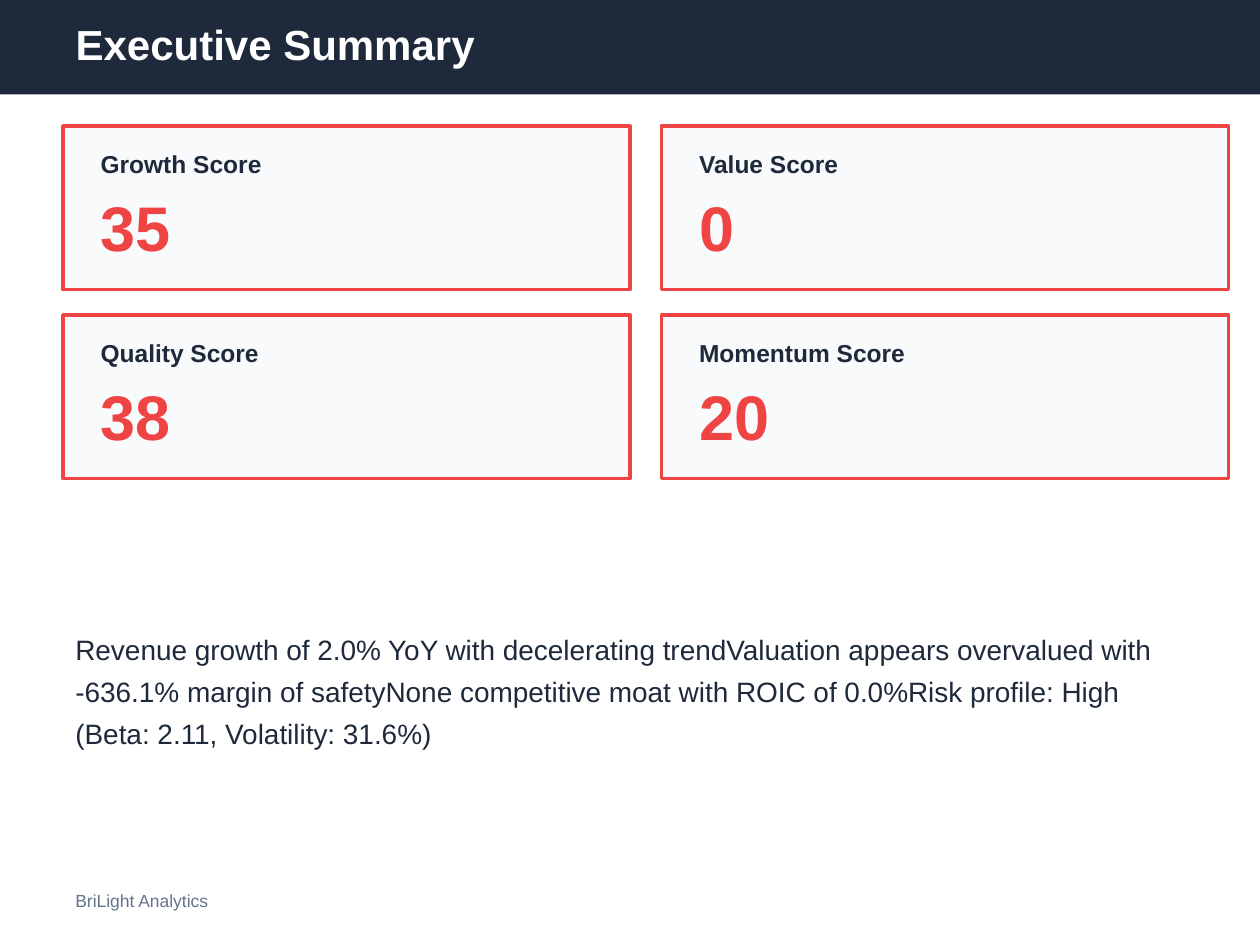
from pptx import Presentation
from pptx.dml.color import RGBColor
from pptx.enum.shapes import MSO_SHAPE
from pptx.enum.text import MSO_ANCHOR, PP_ALIGN
from pptx.util import Pt

RECTANGLE = MSO_SHAPE.RECTANGLE
MIDDLE = MSO_ANCHOR.MIDDLE
LEFT = PP_ALIGN.LEFT
TITLE_ONLY = 5
FONT = "Arial"
COLORS = {
    "navy": "1E293B",
    "slate": "64748B",
    "white": "FFFFFF",
    "card": "F8FAFC",
    "red": "EF4444",
}
SCORES = [
    ("Growth Score", "35"),
    ("Value Score", "0"),
    ("Quality Score", "38"),
    ("Momentum Score", "20"),
]
SUMMARY = (
    "Revenue growth of 2.0% YoY with decelerating trend"
    "Valuation appears overvalued with -636.1% margin of safety"
    "None competitive moat with ROIC of 0.0%"
    "Risk profile: High (Beta: 2.11, Volatility: 31.6%)"
)


def color(name):
    return RGBColor.from_string(COLORS[name])


def write_text(shape, text, size, color_name="navy", bold=False, line_spacing=None):
    frame = shape.text_frame
    frame.word_wrap = True
    frame.vertical_anchor = MIDDLE
    frame.text = text
    paragraph = frame.paragraphs[0]
    paragraph.alignment = LEFT
    if line_spacing:
        paragraph.line_spacing = Pt(line_spacing)
    font = paragraph.runs[0].font
    font.name = FONT
    font.size = Pt(size)
    font.bold = bold
    font.color.rgb = color(color_name)


def add_text(slide, box, text, **text_format):
    shape = slide.shapes.add_textbox(*map(Pt, box))
    write_text(shape, text, **text_format)


def add_rectangle(slide, box, fill, outline=None):
    shape = slide.shapes.add_shape(RECTANGLE, *map(Pt, box))
    shape.shadow.inherit = False
    shape.fill.solid()
    shape.fill.fore_color.rgb = color(fill)
    if outline:
        shape.line.color.rgb = color(outline)
        shape.line.width = Pt(2)
    else:
        shape.line.fill.background()
    return shape


def add_header(slide, text):
    band = add_rectangle(slide, (0, 0, 720, 54), "navy")
    title = slide.shapes.title
    title.left, title.top, title.width, title.height = map(Pt, (36, 7.2, 648, 36))
    write_text(title, text, size=24, color_name="white", bold=True)
    band._element.addnext(title._element)


def add_score_card(slide, left, top, label, score):
    add_rectangle(slide, (left, top, 324, 93.6), "card", outline="red")
    text_left = left + 14.4
    add_text(slide, (text_left, top + 7.2, 295.2, 28.8), label, size=14, bold=True)
    add_text(slide, (text_left, top + 36, 295.2, 43.2), score,
             size=36, color_name="red", bold=True)


def main():
    presentation = Presentation()
    presentation.slide_width = Pt(720)
    presentation.slide_height = Pt(540)
    slide = presentation.slides.add_slide(presentation.slide_layouts[TITLE_ONLY])

    add_header(slide, "Executive Summary")
    for index, (label, score) in enumerate(SCORES):
        row, column = divmod(index, 2)
        add_score_card(slide, 36 + column * 342, 72 + row * 108, label, score)
    add_text(slide, (36, 302.4, 648, 180), SUMMARY, size=16, line_spacing=24)
    add_text(slide, (36, 504, 144, 21.6), "BriLight Analytics",
             size=10, color_name="slate")

    presentation.save("out.pptx")


if __name__ == "__main__":
    main()
